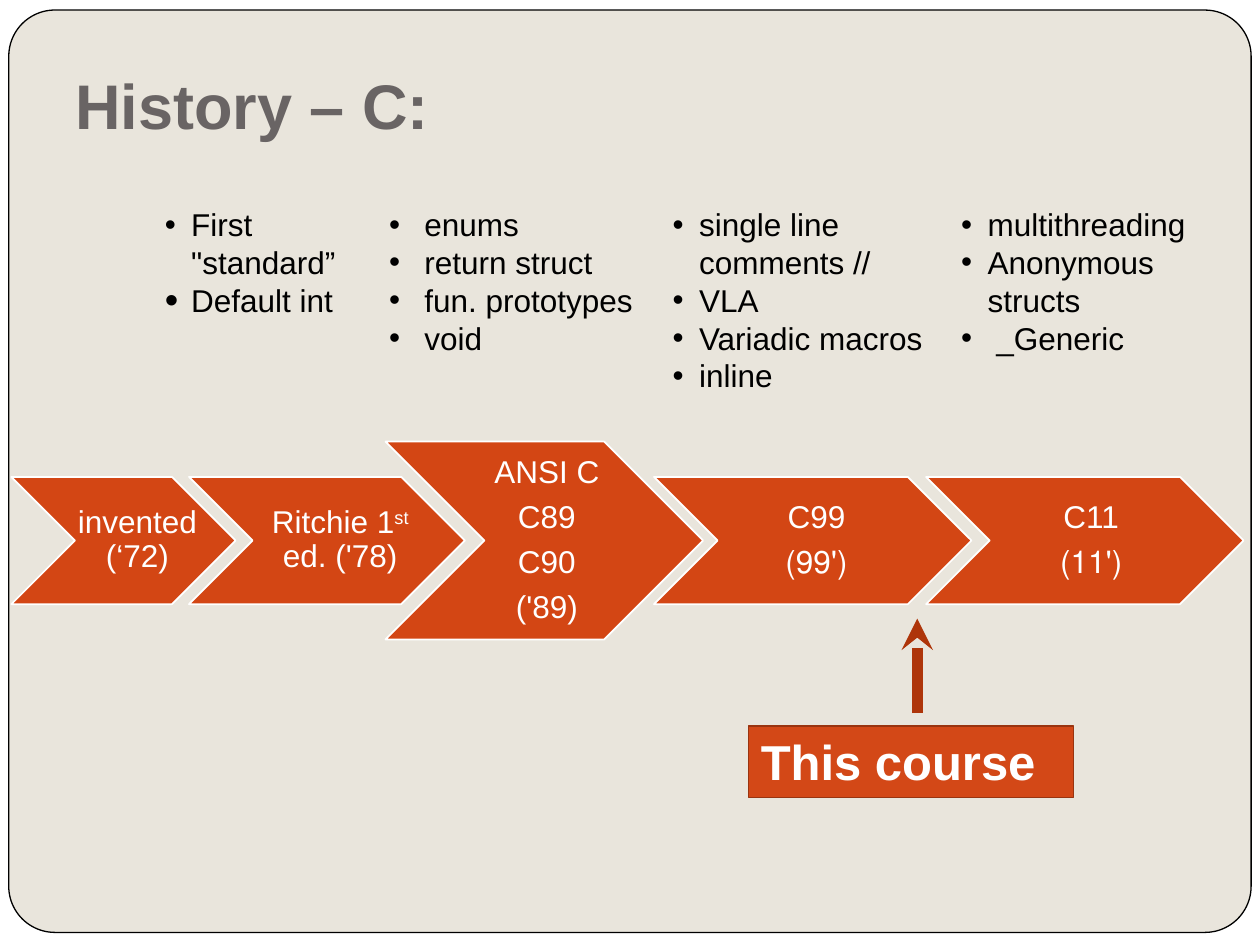
from lxml import etree
from pptx import Presentation
from pptx.dml.color import RGBColor
from pptx.enum.shapes import MSO_CONNECTOR, MSO_SHAPE
from pptx.enum.text import MSO_ANCHOR, PP_ALIGN
from pptx.oxml.ns import qn
from pptx.util import Inches, Pt

RECT, ROUNDED, CHEVRON = MSO_SHAPE.RECTANGLE, MSO_SHAPE.ROUNDED_RECTANGLE, MSO_SHAPE.CHEVRON
STRAIGHT = MSO_CONNECTOR.STRAIGHT
TOP, MIDDLE, BOTTOM = MSO_ANCHOR.TOP, MSO_ANCHOR.MIDDLE, MSO_ANCHOR.BOTTOM
LEFT, CENTER = PP_ALIGN.LEFT, PP_ALIGN.CENTER

WHITE = RGBColor(0xFF, 0xFF, 0xFF)
BLACK = RGBColor(0, 0, 0)
BEIGE = RGBColor(0xE9, 0xE5, 0xDC)
GREY = RGBColor(0x69, 0x64, 0x64)
ORANGE = RGBColor(0xD3, 0x46, 0x14)
BOX_FILL = RGBColor(0xD3, 0x48, 0x17)
BOX_LINE = RGBColor(0x99, 0x34, 0x10)
ARROW = RGBColor(0xAE, 0x35, 0x0A)

FONT = "Arial"
BOX_INSETS = (0.1, 0.05, 0.1, 0.05)
LABEL_INSETS = (0.08, 0.03, 0.03, 0.03)
LIST_TOP = 1.58
AXIS = 4.29  # vertical centre of the timeline
INDENT, WIDE_INDENT = 0.21, 0.28

# Chevron left, width, height; label left, width; space between lines; right-to-left; lines
STAGES = [
    (1.5, 2.19, 1.01, 1.92, 1.51, 0, False, [["Ritchie 1", ("st", 30), " ed. ('78)"]]),
    (3.06, 2.52, 1.57, 3.84, 0.95, 6.3, False, [["ANSI C"], ["C89"], ["C90"], ["('89)"]]),
    (5.19, 2.52, 1.01, 5.7, 1.51, 6.3, True, [["C99"], ["('99)"]]),
    (7.35, 2.52, 1.01, 7.88, 1.51, 6.3, True, [["C11"], ["('11)"]]),
    (0.09, 1.78, 1.01, 0.31, 1.51, 0, False, [["invented"], ["(‘72)"]]),
]

# Left, width, height; items as (text, indent, bullet size in percent)
FEATURES = [
    (1.21, 1.84, 0.84, [("First \"standard”", INDENT, 100), ("Default int", INDENT, 122)]),
    (2.99, 2.39, 1.58, [(text, WIDE_INDENT, 100) for text in
                        ("enums", "return struct", "fun. prototypes", "void")]),
    (5.24, 2.47, 1.95, [(text, INDENT, 100) for text in
                        ("single line comments //", "VLA", "Variadic macros", "inline")]),
    (7.53, 2.42, 1.58, [("multithreading", INDENT, 100), ("Anonymous structs", INDENT, 100),
                        ("_Generic", WIDE_INDENT, 100)]),
]


def add_shape(s, kind, x, y, w, h, fill, line=None, line_width=1, adj=None):
    sp = s.shapes.add_shape(kind, Inches(x), Inches(y), Inches(w), Inches(h))
    sp.shadow.inherit = False
    sp.fill.solid()
    sp.fill.fore_color.rgb = fill
    if line is None:
        sp.line.fill.background()
    else:
        sp.line.color.rgb = line
        sp.line.width = Pt(line_width)
    if adj is not None:
        sp.adjustments[0] = adj
    return sp


def set_frame(tf, insets, anchor=TOP):
    tf.word_wrap = True
    tf.vertical_anchor = anchor
    tf.margin_left, tf.margin_top, tf.margin_right, tf.margin_bottom = map(Inches, insets)


def add_textbox(s, x, y, w, h, insets=BOX_INSETS, anchor=TOP):
    tf = s.shapes.add_textbox(Inches(x), Inches(y), Inches(w), Inches(h)).text_frame
    set_frame(tf, insets, anchor)
    return tf


def next_paragraph(tf, index):
    return tf.paragraphs[0] if index == 0 else tf.add_paragraph()


def add_run(p, text, size, color, bold=False, baseline=0):
    r = p.add_run()
    r.text = text
    r.font.name = FONT
    r.font.size = Pt(size)
    r.font.bold = bold
    r.font.color.rgb = color
    if baseline:
        r.font._element.set("baseline", str(baseline * 1000))


def set_bullet(p, indent, percent):
    pPr = p._p.get_or_add_pPr()
    pPr.set("marL", str(Inches(indent)))
    pPr.set("indent", str(-Inches(indent)))
    color = etree.SubElement(pPr, qn("a:buClr"))
    etree.SubElement(color, qn("a:srgbClr"), val=str(BLACK))
    etree.SubElement(pPr, qn("a:buSzPct"), val=str(percent * 1000))
    etree.SubElement(pPr, qn("a:buFont"), typeface=FONT)
    etree.SubElement(pPr, qn("a:buChar"), char="•")


def add_stage(s, x, w, h, label_x, label_w, gap, rtl, lines):
    top = AXIS - h / 2
    add_shape(s, CHEVRON, x, top, w, h, ORANGE, WHITE, adj=0.5)
    tf = add_textbox(s, label_x, top, label_w, h, LABEL_INSETS, MIDDLE)
    for i, line in enumerate(lines):
        p = next_paragraph(tf, i)
        p.alignment = CENTER
        p.line_spacing = 0.9
        if i and gap:
            p.space_before = Pt(gap)
        if rtl:
            p._p.get_or_add_pPr().set("rtl", "1")
        for part in line:
            text, baseline = (part, 0) if isinstance(part, str) else part
            add_run(p, text, 18, WHITE, baseline=baseline)


def add_feature_list(s, x, w, h, items):
    tf = add_textbox(s, x, LIST_TOP, w, h)
    for i, (text, indent, percent) in enumerate(items):
        p = next_paragraph(tf, i)
        set_bullet(p, indent, percent)
        add_run(p, text, 18, BLACK)


def add_arrow(s, x1, y1, x2, y2):
    line = s.shapes.add_connector(STRAIGHT, Inches(x1), Inches(y1), Inches(x2), Inches(y2))
    line.line.color.rgb = ARROW
    line.line.width = Pt(6)
    etree.SubElement(line.line._get_or_add_ln(), qn("a:tailEnd"), type="stealth")
    etree.SubElement(line._element.spPr, qn("a:effectLst"))


def main():
    prs = Presentation()
    prs.slide_width, prs.slide_height = Inches(10), Inches(7.5)
    s = prs.slides.add_slide(prs.slide_layouts[6])

    # Background panel
    s.background.fill.solid()
    s.background.fill.fore_color.rgb = BEIGE
    add_shape(s, RECT, 0, 0, 10, 7.5, WHITE)
    add_shape(s, ROUNDED, 0.07, 0.08, 9.86, 7.32, BEIGE, BLACK, 0.75, 0.05)

    # Title
    tf = add_textbox(s, 0.5, 0.45, 9.5, 0.78, (0.1, 0.05, 0.1, 0.1), BOTTOM)
    add_run(tf.paragraphs[0], "History – C:", 36, GREY, bold=True)

    # Timeline
    for stage in STAGES:
        add_stage(s, *stage)

    # Marker for this course
    add_arrow(s, 7.28, 5.66, 7.28, 4.91)
    sp = add_shape(s, RECT, 5.94, 5.76, 2.58, 0.57, BOX_FILL, BOX_LINE)
    set_frame(sp.text_frame, BOX_INSETS)
    p = sp.text_frame.paragraphs[0]
    p.alignment = LEFT
    add_run(p, "This course", 28, WHITE, bold=True)

    # Features of each version
    for feature in FEATURES:
        add_feature_list(s, *feature)

    prs.save("out.pptx")


if __name__ == "__main__":
    main()
